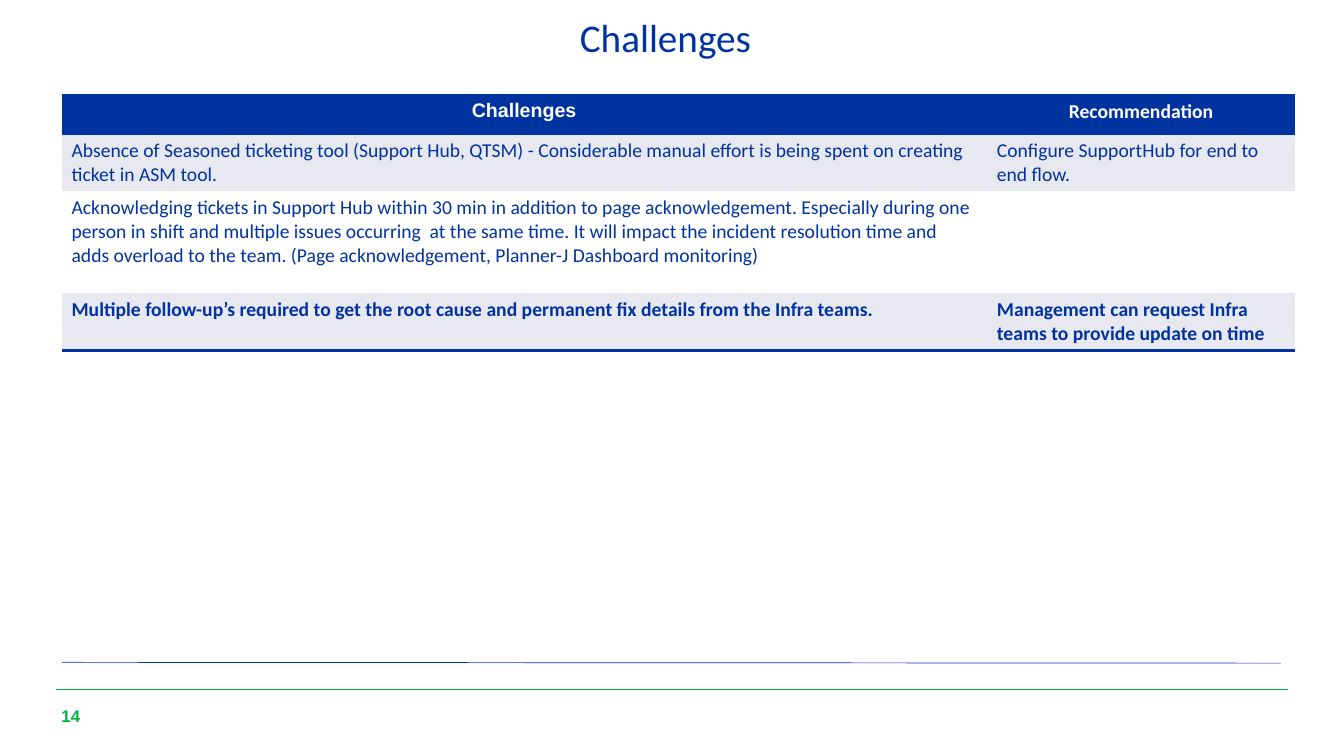
"""Build the Challenges slide with its table of recommendations."""
from dataclasses import dataclass

import lxml.etree
import pptx
import pptx.dml.color
import pptx.enum.shapes
import pptx.enum.text
import pptx.oxml.ns
import pptx.util

Cm = pptx.util.Cm
Pt = pptx.util.Pt
Align = pptx.enum.text.PP_ALIGN
Anchor = pptx.enum.text.MSO_ANCHOR
qn = pptx.oxml.ns.qn

COLORS = {"navy": "0033A0", "rule": "0033B4", "green": "00B140",
          "band": "E7E8F0", "white": "FFFFFF"}
NO_STYLE = "{2D5ABB26-0587-4C30-8999-92F81FD0307C}"


@dataclass
class Style:
    size: float
    color: str
    font: str = "Calibri"
    bold: bool = False
    align: Align = Align.LEFT


@dataclass
class Label:
    text: str
    left: float
    top: float
    width: float
    height: float
    style: Style
    anchor: Anchor = Anchor.TOP
    spacing: float = 1.0


@dataclass
class Rule:
    start: tuple[float, float]
    end: tuple[float, float]
    color: str


@dataclass
class Row:
    texts: tuple[str, str]
    height: float
    fill: str
    styles: tuple[Style, Style]
    borders: tuple[str, ...] = ()


def rgb(color: str) -> pptx.dml.color.RGBColor:
    return pptx.dml.color.RGBColor.from_string(COLORS[color])


def write(frame, text: str, style: Style) -> None:
    frame.text = text
    paragraph = frame.paragraphs[0]
    paragraph.alignment = style.align
    for run in paragraph.runs:
        run.font.name = style.font
        run.font.size = Pt(style.size)
        run.font.bold = style.bold
        run.font.color.rgb = rgb(style.color)


def add_label(slide, label: Label) -> None:
    box = slide.shapes.add_textbox(Cm(label.left), Cm(label.top), Cm(label.width), Cm(label.height))
    frame = box.text_frame
    frame.word_wrap = True
    frame.vertical_anchor = label.anchor
    frame.margin_left = frame.margin_right = frame.margin_top = frame.margin_bottom = 0
    write(frame, label.text, label.style)
    frame.paragraphs[0].line_spacing = label.spacing


def add_rule(slide, rule: Rule) -> None:
    line = slide.shapes.add_connector(
        pptx.enum.shapes.MSO_CONNECTOR.STRAIGHT, *map(Cm, rule.start + rule.end))
    line.line.color.rgb = rgb(rule.color)
    line.line.width = Pt(0.5)
    lxml.etree.SubElement(line._element.spPr, qn("a:effectLst"))


def add_borders(cell, sides: tuple[str, ...]) -> None:
    properties = cell._tc.get_or_add_tcPr()
    for position, side in enumerate(sides):
        border = lxml.etree.Element(qn(f"a:ln{side}"), w=str(Pt(2)))
        fill = lxml.etree.SubElement(border, qn("a:solidFill"))
        lxml.etree.SubElement(fill, qn("a:srgbClr"), val=COLORS["navy"])
        properties.insert(position, border)


def add_rows(slide, rows: list[Row], left: float, top: float, widths: tuple[float, ...]) -> None:
    height = sum(row.height for row in rows)
    frame = slide.shapes.add_table(
        len(rows), len(widths), Cm(left), Cm(top), Cm(sum(widths)), Cm(height))
    table = frame.table
    table._tbl.tblPr.find(qn("a:tableStyleId")).text = NO_STYLE
    for column, width in zip(table.columns, widths):
        column.width = Cm(width)
    for line, row in zip(table.rows, rows):
        line.height = Cm(row.height)
        for cell, text, style in zip(line.cells, row.texts, row.styles):
            cell.fill.solid()
            cell.fill.fore_color.rgb = rgb(row.fill)
            write(cell.text_frame, text, style)
            add_borders(cell, row.borders)


HEADINGS = (Style(14, "white", "Arial", True, Align.CENTER),
            Style(14, "white", bold=True, align=Align.CENTER))
BODY = (Style(14, "navy"),) * 2
STRONG = (Style(14, "navy", bold=True),) * 2

ROWS = [
    Row(("Challenges", "Recommendation"), 0.98, "navy", HEADINGS, ("T", "B")),
    Row(("Absence of Seasoned ticketing tool (Support Hub, QTSM) - Considerable manual effort "
         "is being spent on creating ticket in ASM tool.",
         "Configure SupportHub for end to end flow."), 1.42, "band", BODY),
    Row(("Acknowledging tickets in Support Hub within 30 min in addition to page acknowledgement. "
         "Especially during one person in shift and multiple issues occurring  at the same time. "
         "It will impact the incident resolution time and adds overload to the team. "
         "(Page acknowledgement, Planner-J Dashboard monitoring)", ""), 2.57, "white", BODY),
    Row(("Multiple follow-up’s required to get the root cause and permanent fix details "
         "from the Infra teams.",
         "Management can request Infra teams to provide update on time"),
        1.45, "band", STRONG, ("B",)),
]
LABELS = [
    Label("Challenges", 1.24, 0.46, 31.06, 1.45,
          Style(28, "navy", align=Align.CENTER), spacing=0.9),
    Label("14", 1.55, 17.78, 0.64, 0.53, Style(12, "green", "Arial", True), Anchor.MIDDLE),
]
RULES = [Rule((1.4, 17.37), (32.46, 17.37), "green"),
         Rule((32.28, 16.71), (1.55, 16.69), "rule")]

deck = pptx.Presentation()
deck.slide_width, deck.slide_height = Cm(33.87), Cm(19.05)
challenges = deck.slides.add_slide(deck.slide_layouts[6])
for footer_rule in RULES:
    add_rule(challenges, footer_rule)
for caption in LABELS:
    add_label(challenges, caption)
add_rows(challenges, ROWS, 1.55, 2.39, (23.32, 7.77))
deck.save("out.pptx")
